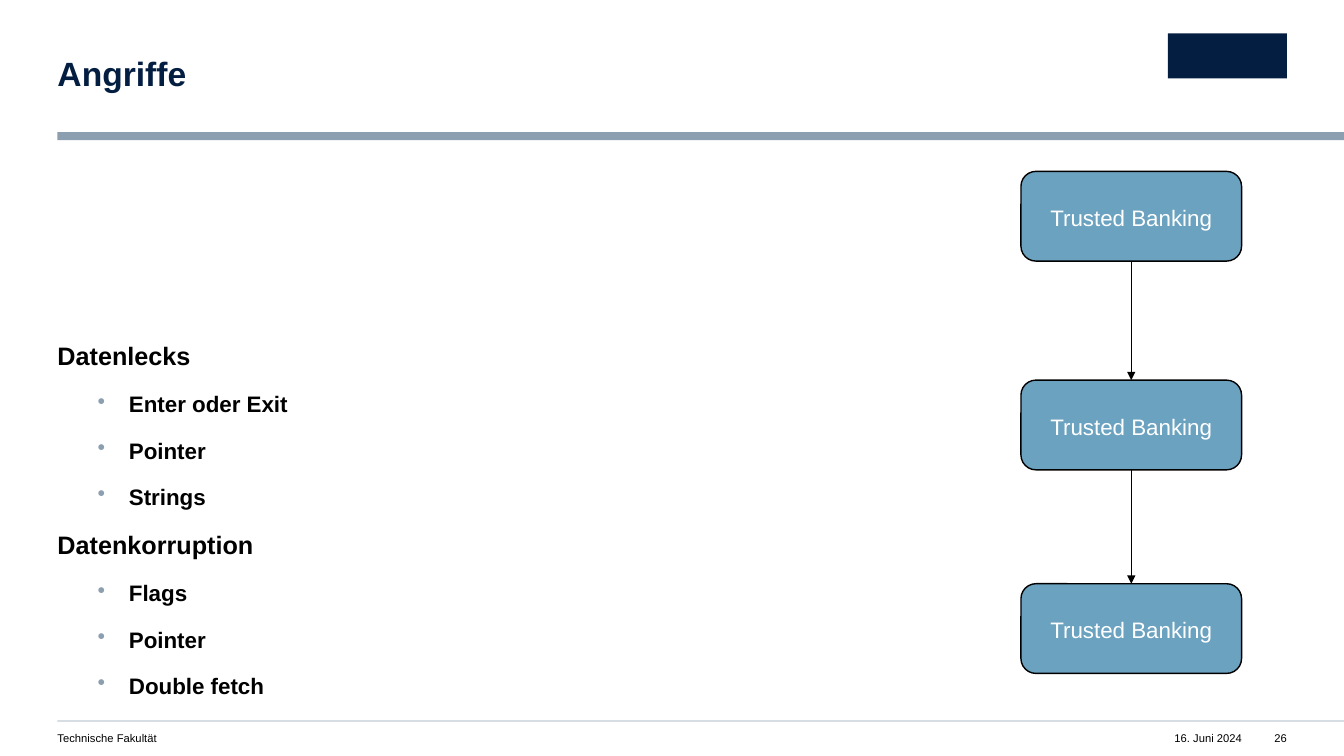
from dataclasses import dataclass

from lxml import etree
from pptx import Presentation
from pptx.dml.color import RGBColor
from pptx.enum.shapes import MSO_CONNECTOR, MSO_SHAPE
from pptx.enum.text import MSO_ANCHOR, PP_ALIGN
from pptx.oxml.ns import qn
from pptx.shapes.autoshape import Shape
from pptx.slide import Slide
from pptx.text.text import TextFrame
from pptx.util import Cm, Pt

NAVY = RGBColor(0x04, 0x1E, 0x42)
STEEL = RGBColor(0x8C, 0x9F, 0xB1)
BLUE = RGBColor(0x6B, 0xA2, 0xC0)
BLACK = RGBColor(0, 0, 0)
WHITE = RGBColor(255, 255, 255)
LEFT, CENTER, RIGHT = PP_ALIGN.LEFT, PP_ALIGN.CENTER, PP_ALIGN.RIGHT
TOP, MIDDLE = MSO_ANCHOR.TOP, MSO_ANCHOR.MIDDLE
RECTANGLE, ROUNDED = MSO_SHAPE.RECTANGLE, MSO_SHAPE.ROUNDED_RECTANGLE
STRAIGHT = MSO_CONNECTOR.STRAIGHT
TOP_SITE, BOTTOM_SITE = 0, 2
FONT = "Arial"

SLIDE_WIDTH, SLIDE_HEIGHT = 33.87, 19.05
MARGIN = 1.45
CONTENT_WIDTH = 30.98
FOOTER_TOP = 18.44


@dataclass(frozen=True)
class Area:
    """A rectangle on the slide, in centimetres."""
    left: float
    top: float
    width: float
    height: float


@dataclass(frozen=True)
class Attack:
    heading: str
    targets: tuple[str, ...]


@dataclass(frozen=True)
class FooterItem:
    text: str
    area: Area
    align: PP_ALIGN


ATTACKS = (
    Attack("Datenlecks", ("Enter oder Exit", "Pointer", "Strings")),
    Attack("Datenkorruption", ("Flags", "Pointer", "Double fetch")),
)
BANKING_AREAS = [Area(25.73, top, 5.56, 2.26) for top in (4.32, 9.58, 14.71)]
RULES = [Area(MARGIN, top, SLIDE_WIDTH - MARGIN, height)
         for top, height in ((3.33, 0.2), (18.16, 0.02))]
FOOTER = (
    FooterItem("Technische Fakultät", Area(MARGIN, FOOTER_TOP, 15.2, 0.33), LEFT),
    FooterItem("16. Juni 2024", Area(28.3, FOOTER_TOP, 3, 0.33), RIGHT),
    FooterItem("26", Area(31.63, FOOTER_TOP, 0.8, 0.33), RIGHT),
)


def set_up_frame(frame: TextFrame, inset: float = 0, anchor: MSO_ANCHOR = TOP) -> TextFrame:
    frame.word_wrap = True
    frame.vertical_anchor = anchor
    frame.margin_left = frame.margin_right = Cm(inset)
    frame.margin_top = frame.margin_bottom = Cm(inset)
    return frame


def add_frame(slide: Slide, area: Area) -> TextFrame:
    box = slide.shapes.add_textbox(Cm(area.left), Cm(area.top), Cm(area.width), Cm(area.height))
    return set_up_frame(box.text_frame)


def write(frame: TextFrame, text: str, *, size: float, color: RGBColor = BLACK,
          bold: bool = False, align: PP_ALIGN = LEFT, line_spacing: float = 1,
          space_after: float = 0, bullet: bool = False) -> None:
    """Fill the empty first paragraph, or add another one."""
    first = frame.paragraphs[0]
    paragraph = frame.add_paragraph() if first.runs else first
    if bullet:
        properties = paragraph._p.get_or_add_pPr()
        properties.set("marL", str(Cm(1.8)))
        properties.set("indent", str(Cm(-0.79)))
        bullet_color = etree.SubElement(properties, qn("a:buClr"))
        etree.SubElement(bullet_color, qn("a:srgbClr"), val=str(STEEL))
        etree.SubElement(properties, qn("a:buChar"), char="•")
    paragraph.alignment = align
    paragraph.line_spacing = line_spacing
    paragraph.space_after = Pt(space_after)
    run = paragraph.add_run()
    run.text = text
    run.font.name = FONT
    run.font.size = Pt(size)
    run.font.bold = bold
    run.font.color.rgb = color


def add_filled(slide: Slide, kind: MSO_SHAPE, area: Area, fill: RGBColor) -> Shape:
    shape = slide.shapes.add_shape(kind, Cm(area.left), Cm(area.top),
                                   Cm(area.width), Cm(area.height))
    shape.shadow.inherit = False
    shape.fill.solid()
    shape.fill.fore_color.rgb = fill
    shape.line.fill.background()
    return shape


def add_banking_box(slide: Slide, area: Area) -> Shape:
    box = add_filled(slide, ROUNDED, area, BLUE)
    box.line.color.rgb = BLACK
    box.line.width = Pt(1)
    write(set_up_frame(box.text_frame, inset=0.5, anchor=MIDDLE), "Trusted Banking",
          size=16, color=WHITE, align=CENTER, line_spacing=1.1, space_after=12)
    return box


def add_arrow(slide: Slide, source: Shape, target: Shape) -> None:
    arrow = slide.shapes.add_connector(STRAIGHT, 0, 0, 0, 0)
    arrow.begin_connect(source, BOTTOM_SITE)
    arrow.end_connect(target, TOP_SITE)
    arrow.line.color.rgb = BLACK
    arrow.line.width = Pt(1)
    etree.SubElement(arrow.line._get_or_add_ln(), qn("a:tailEnd"), type="triangle")
    etree.SubElement(arrow._element.spPr, qn("a:effectLst"))


def add_attacks(slide: Slide) -> None:
    frame = add_frame(slide, Area(MARGIN, 8.51, 23, 9.5))
    for attack in ATTACKS:
        write(frame, attack.heading, size=18, bold=True, line_spacing=1.1, space_after=12)
        for target in attack.targets:
            write(frame, target, size=16, bold=True, line_spacing=1.1,
                  space_after=12, bullet=True)


def main() -> None:
    presentation = Presentation()
    presentation.slide_width = Cm(SLIDE_WIDTH)
    presentation.slide_height = Cm(SLIDE_HEIGHT)
    slide = presentation.slides.add_slide(presentation.slide_layouts[6])

    for rule in RULES:
        add_filled(slide, RECTANGLE, rule, STEEL)
    add_filled(slide, RECTANGLE, Area(29.43, 0.84, 3, 1.14), NAVY)
    for item in FOOTER:
        write(add_frame(slide, item.area), item.text, size=8, align=item.align)

    add_attacks(slide)
    write(add_frame(slide, Area(MARGIN, 1.45, CONTENT_WIDTH - 12, 0.91)), "Angriffe",
          size=24, color=NAVY, bold=True, line_spacing=0.9)

    boxes = [add_banking_box(slide, area) for area in BANKING_AREAS]
    for source, target in zip(boxes, boxes[1:]):
        add_arrow(slide, source, target)

    presentation.save("out.pptx")


if __name__ == "__main__":
    main()
